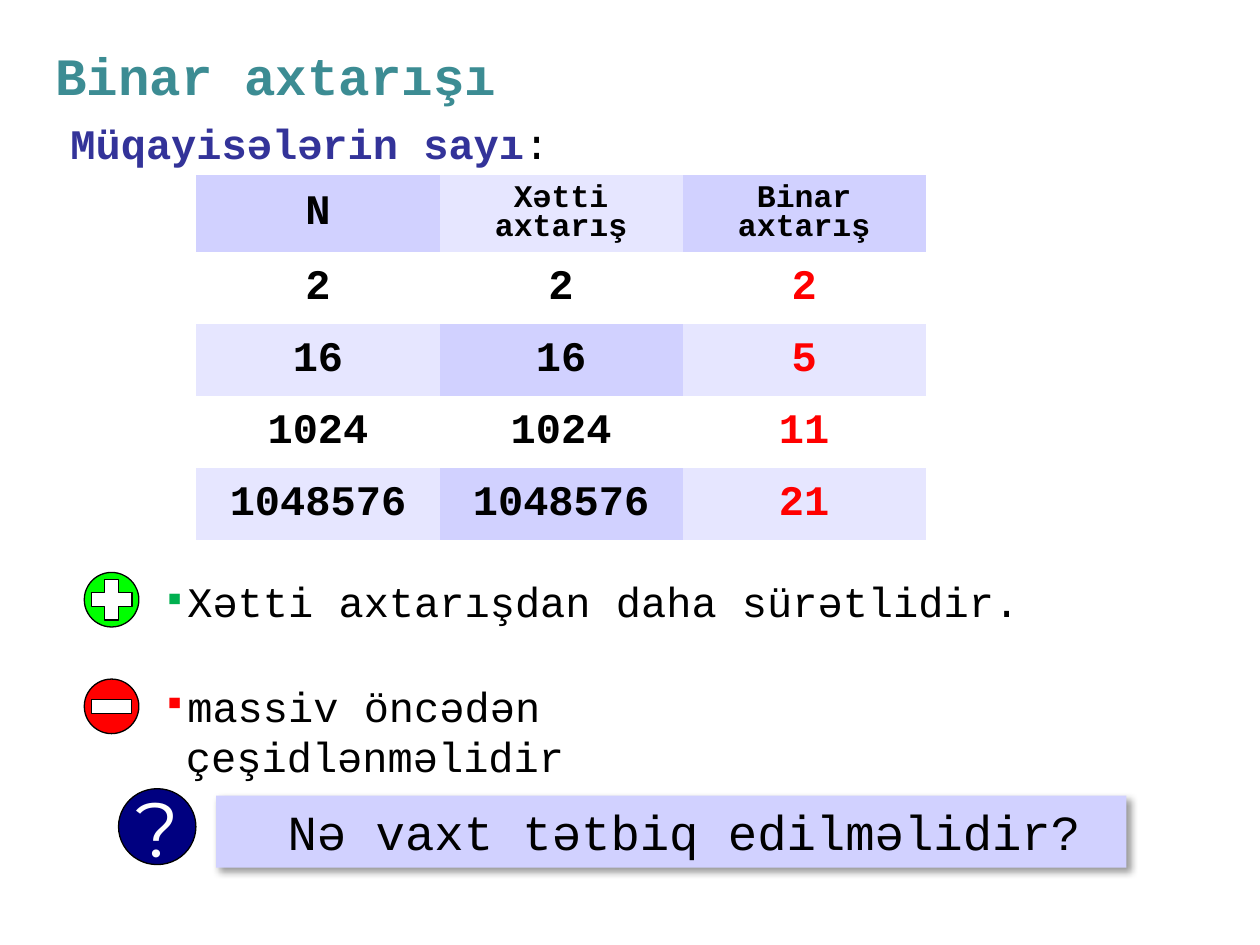
import lxml.etree
import pptx
import pptx.dml.color
import pptx.enum.shapes
import pptx.enum.text
import pptx.oxml
import pptx.oxml.ns
import pptx.util
from pptx.util import Cm

FONT = "Courier New"
COLORS = {
    "title": "3C8C93",
    "heading": "333399",
    "black": "000000",
    "white": "FFFFFF",
    "red": "FF0000",
    "lime": "00FF00",
    "green": "00B050",
    "navy": "000080",
    "lavender": "D1D1FF",
    "pale": "E6E6FF",
}
ROWS = [
    ("N", "Xətti axtarış", "Binar axtarış"),
    ("2", "2", "2"),
    ("16", "16", "5"),
    ("1024", "1024", "11"),
    ("1048576", "1048576", "21"),
]
NO_GRID_STYLE = "{2D5ABB26-0587-4C30-8999-92F81FD0307C}"
SHAPES = pptx.enum.shapes.MSO_SHAPE
ALIGN = pptx.enum.text.PP_ALIGN
ANCHOR = pptx.enum.text.MSO_ANCHOR


def color(name):
    """Return the named colour."""
    return pptx.dml.color.RGBColor.from_string(COLORS[name])


def set_font(font, size, color_name="black", bold=False, name=FONT):
    """Set the face, size, colour and weight of a font."""
    font.name = name
    font.size = pptx.util.Pt(size)
    font.bold = bold
    font.color.rgb = color(color_name)


def add_title(slide, text):
    """Place and format the title placeholder."""
    title = slide.shapes.title
    title.left, title.top, title.width, title.height = Cm(0.86), Cm(0.84), Cm(23.27), Cm(1.32)
    title.text_frame.text = text
    title.text_frame.vertical_anchor = ANCHOR.MIDDLE
    para = title.text_frame.paragraphs[0]
    para.alignment = ALIGN.LEFT
    set_font(para.font, 30, "title", True)


def add_text_box(slide, left, top, width):
    """Add a wrapping text box and return its first paragraph."""
    box = slide.shapes.add_textbox(Cm(left), Cm(top), Cm(width), Cm(1.28))
    box.text_frame.word_wrap = True
    return box.text_frame.paragraphs[0]


def add_heading(slide, text, ending):
    """Add the bold heading with its plain ending."""
    para = add_text_box(slide, 1.17, 2.24, 11.15)
    for part, color_name, bold in ((text, "heading", True), (ending, "black", False)):
        span = para.add_run()
        span.text = part
        set_font(span.font, 24, color_name, bold)


def add_bullet(slide, top, width, text, color_name):
    """Add a line of text with a coloured square bullet."""
    para = add_text_box(slide, 3.02, top, width)
    para.text = text
    properties = para._p.get_or_add_pPr()
    properties.set("marL", str(Cm(0.48)))
    properties.set("indent", str(Cm(-0.48)))
    qn = pptx.oxml.ns.qn
    bullet_color = lxml.etree.SubElement(properties, qn("a:buClr"))
    lxml.etree.SubElement(bullet_color, qn("a:srgbClr"), val=COLORS[color_name])
    lxml.etree.SubElement(properties, qn("a:buFont"), typeface=FONT)
    lxml.etree.SubElement(properties, qn("a:buChar"), char="▪")
    set_font(para.font, 24)


def fill_cell(cell, text, row, column):
    """Write and format one cell of the comparison table."""
    label = row == 0 and column > 0
    cell.text = text
    cell.vertical_anchor = ANCHOR.MIDDLE
    cell.margin_left = cell.margin_right = Cm(0.18)
    cell.margin_top = cell.margin_bottom = Cm(0.1 if label else 0)
    para = cell.text_frame.paragraphs[0]
    para.alignment = ALIGN.CENTER
    if label:
        para.line_spacing = 0.8
    result = row > 0 and column == 2
    set_font(para.font, 18 if label else 24, "red" if result else "black", True)
    if row % 2:
        cell.fill.background()
    else:
        dark = (column % 2 == 0) == (row == 0)
        cell.fill.solid()
        cell.fill.fore_color.rgb = color("lavender" if dark else "pale")


def add_comparison_table(slide):
    """Add the table of comparison counts."""
    frame = slide.shapes.add_table(len(ROWS), 3, Cm(3.96), Cm(3.53), Cm(14.7), Cm(7.35))
    table = frame.table
    table.first_row = table.horz_banding = False
    table._tbl.tblPr.find(pptx.oxml.ns.qn("a:tableStyleId")).text = NO_GRID_STYLE
    for column in table.columns:
        column.width = Cm(4.9)
    for index, values in enumerate(ROWS):
        table.rows[index].height = Cm(1.45 if index else 1.55)
        for column, text in enumerate(values):
            fill_cell(table.cell(index, column), text, index, column)


def add_filled_shape(group, kind, left, top, width, height, color_name, outlined=True):
    """Add a flat shape, with a thin black outline if wanted."""
    shape = group.shapes.add_shape(kind, Cm(left), Cm(top), Cm(width), Cm(height))
    shape.shadow.inherit = False
    shape.fill.solid()
    shape.fill.fore_color.rgb = color(color_name)
    if outlined:
        shape.line.color.rgb = color("black")
        shape.line.width = pptx.util.Pt(0.75)
    else:
        shape.line.fill.background()
    return shape


def add_sign(slide, top, color_name, kind, height):
    """Add a round badge with a white sign in its centre."""
    group = slide.shapes.add_group_shape()
    size, width = 1.1, 0.82
    add_filled_shape(group, SHAPES.OVAL, 1.7, top, size, size, color_name)
    return add_filled_shape(group, kind, 1.7 + (size - width) / 2,
                            top + (size - height) / 2, width, height, "white")


def add_shadow(shape):
    """Give a shape a soft shadow to the lower right."""
    effects = shape._element.spPr.find(pptx.oxml.ns.qn("a:effectLst"))
    effects.append(pptx.oxml.parse_xml(
        f'<a:outerShdw {pptx.oxml.ns.nsdecls("a")} blurRad="50800" dist="38100" '
        'dir="2700000" algn="tl" rotWithShape="0">'
        f'<a:srgbClr val="{COLORS["black"]}"><a:alpha val="40000"/></a:srgbClr>'
        '</a:outerShdw>'))


def add_question(slide, text):
    """Add the question banner with its round question mark."""
    group = slide.shapes.add_group_shape()
    banner = add_filled_shape(group, SHAPES.RECTANGLE, 4.36, 16.04, 18.35, 1.45,
                              "lavender", outlined=False)
    add_shadow(banner)
    frame = banner.text_frame
    frame.text = text
    frame.vertical_anchor = ANCHOR.TOP
    frame.margin_left = Cm(1.44)
    frame.paragraphs[0].alignment = ALIGN.LEFT
    set_font(frame.paragraphs[0].font, 28)

    badge = add_filled_shape(group, SHAPES.OVAL, 2.39, 15.9, 1.56, 1.53, "navy")
    frame = badge.text_frame
    frame.text = "?"
    frame.word_wrap = False
    frame.vertical_anchor = ANCHOR.MIDDLE
    frame.paragraphs[0].alignment = ALIGN.CENTER
    set_font(frame.paragraphs[0].font, 44, "white", name="Montserrat")


def main():
    """Build the slide and save the deck."""
    deck = pptx.Presentation()
    deck.slide_width, deck.slide_height = Cm(25.4), Cm(19.05)
    slide = deck.slides.add_slide(deck.slide_layouts[5])
    add_title(slide, "Binar axtarışı")
    add_heading(slide, "Müqayisələrin sayı", ":")
    add_comparison_table(slide)
    add_bullet(slide, 11.48, 18.24, "Xətti axtarışdan daha sürətlidir.", "green")
    plus = add_sign(slide, 11.54, "lime", SHAPES.CROSS, 0.82)
    plus.adjustments[0] = 0.33
    add_sign(slide, 13.69, "red", SHAPES.RECTANGLE, 0.28)
    add_bullet(slide, 13.59, 16.1, "massiv öncədən çeşidlənməlidir", "red")
    add_question(slide, "Nə vaxt tətbiq edilməlidir?")
    deck.save("out.pptx")


if __name__ == "__main__":
    main()
